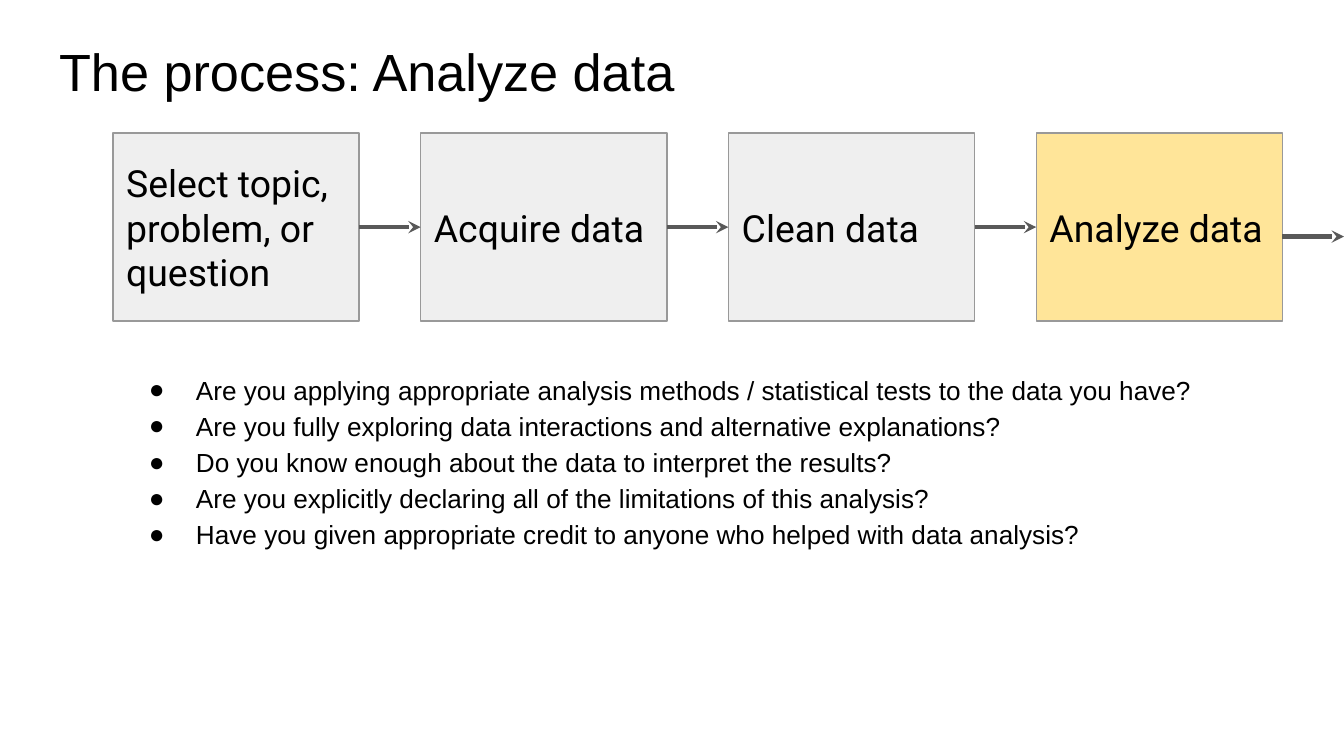
from lxml.etree import SubElement
from pptx import Presentation
from pptx.dml.color import RGBColor
from pptx.enum.shapes import MSO_CONNECTOR, MSO_SHAPE
from pptx.enum.text import MSO_ANCHOR, MSO_AUTO_SIZE, PP_ALIGN
from pptx.oxml.ns import qn
from pptx.util import Inches, Pt

W = 10
H = W * 9 / 16
COLORS = {"text": "000000", "step": "EFEFEF", "current": "FFE599",
          "border": "999999", "arrow": "595959"}
STEPS = ["Select topic, problem, or question", "Acquire data", "Clean data",
         "Analyze data"]
CURRENT = "Analyze data"
QUESTIONS = [
    "Are you applying appropriate analysis methods / statistical tests to the data you have?",
    "Are you fully exploring data interactions and alternative explanations?",
    "Do you know enough about the data to interpret the results?",
    "Are you explicitly declaring all of the limitations of this analysis?",
    "Have you given appropriate credit to anyone who helped with data analysis?",
]


def color(name):
    """Return the named colour."""
    return RGBColor.from_string(COLORS[name])


def style_text(tf, font, size, anchor=MSO_ANCHOR.TOP):
    """Set the frame's margins, wrapping and anchor, and format its runs."""
    tf.word_wrap = True
    tf.auto_size = MSO_AUTO_SIZE.NONE
    tf.vertical_anchor = anchor
    tf.margin_left = tf.margin_right = Inches(0.1)
    tf.margin_top = tf.margin_bottom = Inches(0.1)
    for p in tf.paragraphs:
        p.alignment = PP_ALIGN.LEFT
        for r in p.runs:
            r.font.name, r.font.size = font, Pt(size)
            r.font.color.rgb = color("text")


def add_title(s, box, text):
    """Place and format the title placeholder in the box."""
    sp = s.shapes.title
    sp.left, sp.top, sp.width, sp.height = map(Inches, box)
    sp.text_frame.text = text
    p = sp.text_frame.paragraphs[0]
    p.line_spacing, p.space_before = 1.0, Pt(0)
    style_text(sp.text_frame, "Arial", 28)


def add_step(s, box, text):
    """Add one step of the process as a rectangle."""
    sp = s.shapes.add_shape(MSO_SHAPE.RECTANGLE, *map(Inches, box))
    sp.shadow.inherit = False
    sp.fill.solid()
    sp.fill.fore_color.rgb = color("current" if text == CURRENT else "step")
    sp.line.color.rgb = color("border")
    sp.line.width = Pt(0.75)
    sp.text_frame.text = text
    style_text(sp.text_frame, "Roboto", 20, MSO_ANCHOR.MIDDLE)
    return sp


def add_arrow(s, x1, x2, y):
    """Add a horizontal arrow."""
    cx = s.shapes.add_connector(MSO_CONNECTOR.STRAIGHT, *map(Inches, (x1, y, x2, y)))
    cx.line.color.rgb = color("arrow")
    cx.line.width = Pt(2.25)
    ln = cx._element.spPr.find(qn("a:ln"))
    SubElement(ln, qn("a:tailEnd"), type="stealth")
    SubElement(cx._element.spPr, qn("a:effectLst"))
    return cx


def add_process(s, box, steps):
    """Spread the steps over the box, each followed by an arrow one gap long."""
    left, top, width, height = box
    pitch = width / len(steps)
    step_w = 0.8 * pitch
    shapes = [add_step(s, (left + i * pitch, top, step_w, height), text)
              for i, text in enumerate(steps)]
    for i, (start, end) in enumerate(zip(shapes, shapes[1:])):
        x = left + i * pitch
        cx = add_arrow(s, x + step_w, x + pitch, top + height / 2)
        cx.begin_connect(start, 3)
        cx.end_connect(end, 1)
    add_arrow(s, left + width - pitch + step_w, left + width, top + 0.55 * height)


def add_bullets(s, box, lines):
    """Add a bulleted list in the box."""
    tf = s.shapes.add_textbox(*map(Inches, box)).text_frame
    tf.text = "\n".join(lines)
    for p in tf.paragraphs:
        p.line_spacing = 1.15
        pPr = p._p.get_or_add_pPr()
        pPr.set("marL", str(Inches(0.5)))
        pPr.set("indent", str(Inches(-0.35)))
        clr = SubElement(pPr, qn("a:buClr"))
        SubElement(clr, qn("a:srgbClr"), val=COLORS["text"])
        SubElement(pPr, qn("a:buFont"), typeface="Arial")
        SubElement(pPr, qn("a:buChar"), char="●")
    style_text(tf, "Arial", 14)


def main():
    """Build and save the slide."""
    prs = Presentation()
    prs.slide_width, prs.slide_height = Inches(W), Inches(H)
    s = prs.slides.add_slide(prs.slide_layouts[5])
    add_title(s, (0.34, 0.19, 9.32, 0.63), "The process: Analyze data")
    add_process(s, (0.84, 0.99, W - 0.84, 1.4), STEPS)
    add_bullets(s, (0.86, 2.65, 8.76, 2.64), QUESTIONS)
    prs.save("out.pptx")


if __name__ == "__main__":
    main()
